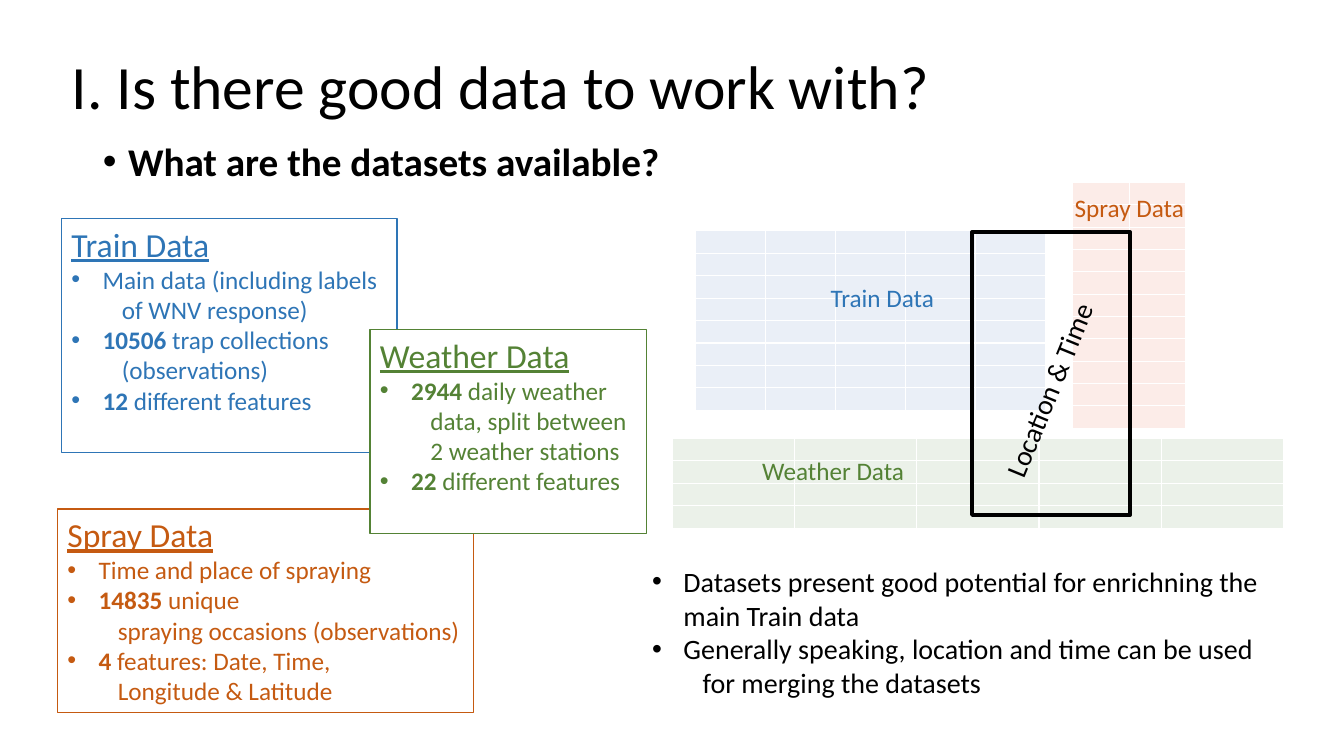
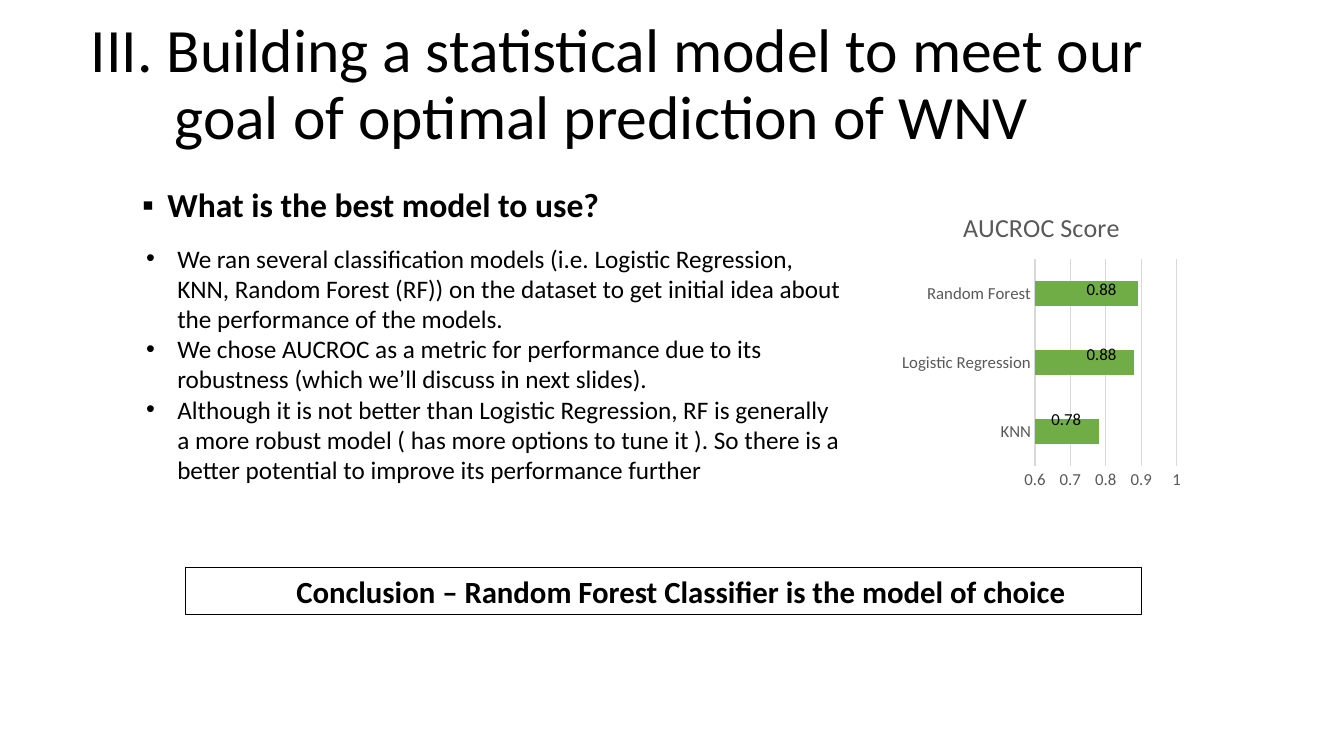
from lxml import etree
from pptx import Presentation
from pptx.chart.data import CategoryChartData
from pptx.dml.color import RGBColor
from pptx.enum.chart import XL_CHART_TYPE as ChartType, XL_TICK_MARK as TickMark
from pptx.enum.shapes import MSO_SHAPE as Shape
from pptx.enum.text import MSO_ANCHOR as Anchor, MSO_AUTO_SIZE as AutoSize, PP_ALIGN as Align
from pptx.oxml.ns import qn
from pptx.util import Inches, Pt

FONT = "Calibri"
COLORS = {
    "ink": "000000",
    "paper": "FFFFFF",
    "train": "2E75B6",
    "spray": "C55A11",
    "weather": "548235",
    "train_cell": "EAEFF7",
    "spray_cell": "FCECE8",
    "weather_cell": "EBF1E9",
    "bar": "70AD47",
    "grid": "D9D9D9",
    "chart_text": "595959",
}
# Left margin and first-line indent of each paragraph kind, in inches
INDENTS = {"heading": (0, 0), "bullet": (0.31, -0.31), "continued": (0.5, 0)}


def rgb(name):
    return RGBColor.from_string(COLORS[name])


def box(left, top, width, height):
    return [Inches(length) for length in (left, top, width, height)]


def style_font(font, size, color="ink", bold=False):
    font.name = FONT
    font.size = Pt(size)
    font.bold = bold
    font.color.rgb = rgb(color)


def add_run(paragraph, text, size, color="ink", bold=False):
    run = paragraph.add_run()
    run.text = text
    style_font(run.font, size, color, bold)
    return run


def set_indent(paragraph, margin, first_line, bullet=None):
    properties = paragraph._p.get_or_add_pPr()
    properties.set("marL", str(Inches(margin)))
    properties.set("indent", str(Inches(first_line)))
    if bullet:
        etree.SubElement(properties, qn("a:buFont"), typeface="Arial")
        etree.SubElement(properties, qn("a:buChar"), char=bullet)
    else:
        etree.SubElement(properties, qn("a:buNone"))


def write_paragraphs(frame, paragraphs, size, color="ink"):
    """Write (kind, part, ...) rows; a part is text or a (bold text,) tuple."""
    frame.word_wrap = True
    for index, (kind, *parts) in enumerate(paragraphs):
        paragraph = frame.add_paragraph() if index else frame.paragraphs[0]
        paragraph.alignment = Align.LEFT
        set_indent(paragraph, *INDENTS[kind], bullet="•" if kind == "bullet" else None)
        for part in parts:
            bold = isinstance(part, tuple)
            run = add_run(paragraph, part[0] if bold else part,
                          24 if kind == "heading" else size, color, bold)
            run.font.underline = kind == "heading"


def place_placeholder(placeholder, position, anchor):
    placeholder.left, placeholder.top, placeholder.width, placeholder.height = box(*position)
    frame = placeholder.text_frame
    frame.auto_size = AutoSize.NONE
    frame.vertical_anchor = anchor
    paragraph = frame.paragraphs[0]
    paragraph.alignment = Align.LEFT
    paragraph.line_spacing = 0.9
    return paragraph


def set_title(slide, position, lines, hanging=0):
    paragraph = place_placeholder(slide.shapes.title, position, Anchor.MIDDLE)
    set_indent(paragraph, hanging, -hanging)
    for index, line in enumerate(lines):
        if index:
            paragraph.add_line_break()
        add_run(paragraph, line, 44)


def set_question(slide, position, text, size, margin, bullet, space_before):
    paragraph = place_placeholder(slide.placeholders[1], position, Anchor.TOP)
    paragraph.space_before = Pt(space_before)
    set_indent(paragraph, margin, -0.25, bullet)
    add_run(paragraph, text, size, bold=True)


def add_frame(slide, position, color, line_width, filled=True):
    frame = slide.shapes.add_shape(Shape.RECTANGLE, *box(*position))
    frame.shadow.inherit = False
    if filled:
        frame.fill.solid()
        frame.fill.fore_color.rgb = rgb("paper")
    else:
        frame.fill.background()
    frame.line.color.rgb = rgb(color)
    frame.line.width = Pt(line_width)
    return frame


def add_card(slide, position, color, line_width, heading, paragraphs):
    card = add_frame(slide, position, color, line_width)
    card.text_frame.vertical_anchor = Anchor.TOP
    write_paragraphs(card.text_frame, [("heading", heading), *paragraphs], 18, color)


def add_bullets(slide, position, paragraphs, size):
    bullets = slide.shapes.add_textbox(*box(*position))
    write_paragraphs(bullets.text_frame, paragraphs, size)


def add_label(slide, position, text, size, color="ink", rotation=0):
    label = slide.shapes.add_textbox(*box(*position))
    label.rotation = rotation
    label.text_frame.word_wrap = False
    add_run(label.text_frame.paragraphs[0], text, size, color)


def add_data_grid(slide, position, rows, columns, color):
    """Add an empty table that stands for the shape of a dataset."""
    grid = slide.shapes.add_table(rows, columns, *box(*position)).table
    grid.first_row = grid.horz_banding = False
    for cell in grid.iter_cells():
        cell.fill.solid()
        cell.fill.fore_color.rgb = rgb(color)
        cell.margin_top = cell.margin_bottom = 0
        # Small empty text keeps the rows at their set height
        etree.SubElement(cell.text_frame.paragraphs[0]._p, qn("a:endParaRPr"), sz="600")


def add_score_chart(slide, position, title, scores):
    scores_data = CategoryChartData()
    scores_data.categories = list(scores)
    scores_data.add_series(title, list(scores.values()))
    chart = slide.shapes.add_chart(
        ChartType.BAR_CLUSTERED, *box(*position), scores_data).chart
    style_font(chart.font, 10)
    chart.has_legend = False
    chart.has_title = True
    add_run(chart.chart_title.text_frame.paragraphs[0], title, 18.6, "chart_text")
    chart.chart_title.include_in_layout = False

    plot = chart.plots[0]
    plot.gap_width = 182
    plot.vary_by_categories = False
    bars = plot.series[0].format.fill
    bars.solid()
    bars.fore_color.rgb = rgb("bar")

    models, values = chart.category_axis, chart.value_axis
    for axis in (models, values):
        axis.major_tick_mark = axis.minor_tick_mark = TickMark.NONE
        style_font(axis.tick_labels.font, 12, "chart_text")
    values.minimum_scale, values.maximum_scale, values.major_unit = 0.6, 1, 0.1
    values.has_major_gridlines = True
    values.format.line.fill.background()
    for line in (models.format.line, values.major_gridlines.format.line):
        line.color.rgb = rgb("grid")
        line.width = Pt(0.75)


def build_datasets_slide(slide):
    set_title(slide, (0.61, 0.16, 11.81, 1.45), ["I. Is there good data to work with?"])
    set_question(slide, (0.92, 1.36, 11.5, 0.6), "What are the datasets available?",
                 28, 0.25, "•", 10)

    add_card(slide, (0.61, 2.17, 3.33, 2.32), "train", 1, "Train Data", [
        ("bullet", "Main data (including labels"),
        ("continued", "of WNV response)"),
        ("bullet", ("10506",), " trap collections"),
        ("continued", "(observations)"),
        ("bullet", ("12",), " different features"),
    ])
    add_card(slide, (0.57, 5.05, 4.13, 2.02), "spray", 1, "Spray Data", [
        ("bullet", "Time and place of spraying"),
        ("bullet", ("14835",), " unique"),
        ("continued", "spraying occasions (observations)"),
        ("bullet", ("4 ",), "features: Date, Time,"),
        ("continued", "Longitude & Latitude"),
    ])
    add_card(slide, (3.67, 3.27, 2.74, 2.02), "weather", 0.75, "Weather Data", [
        ("bullet", ("2944",), " daily weather"),
        ("continued", "data, split between"),
        ("continued", "2 weather stations"),
        ("bullet", ("22",), " different features"),
    ])

    add_data_grid(slide, (6.9, 2.29, 3.47, 1.78), 8, 5, "train_cell")
    add_data_grid(slide, (10.64, 1.81, 1.12, 2.44), 11, 2, "spray_cell")
    add_data_grid(slide, (6.67, 4.35, 6.06, 0.89), 4, 5, "weather_cell")
    add_frame(slide, (9.64, 2.3, 1.57, 2.81), "ink", 2.5, filled=False)
    add_label(slide, (9.36, 3.61, 2.12, 0.44), "Location & Time", 20, rotation=292.3)
    add_label(slide, (8.14, 2.75, 1.24, 0.4), "Train Data", 18, "train")
    add_label(slide, (10.56, 1.86, 1.3, 0.4), "Spray Data", 18, "spray")
    add_label(slide, (7.46, 4.47, 1.63, 0.4), "Weather Data", 18, "weather")

    add_bullets(slide, (6.37, 5.55, 6.35, 1.78), [
        ("bullet", "Datasets present good potential for enrichning the main Train data"),
        ("bullet", "Generally speaking, location and time can be used"),
        ("continued", "for merging the datasets"),
    ], 20)


def build_model_slide(slide):
    set_title(slide, (0.8, 0.13, 12.53, 1.45),
              ["III. Building a statistical model to meet our",
               "goal of optimal prediction of WNV"], hanging=0.83)
    set_question(slide, (0.81, 1.82, 5.28, 0.54), "What is the best model to use?",
                 24, 0.75, "▪", 5)
    add_bullets(slide, (1.35, 2.36, 7.12, 2.52), [
        ("bullet", "We ran several classification models (i.e. Logistic Regression, KNN, "
                   "Random Forest (RF)) on the dataset to get initial idea about the "
                   "performance of the models."),
        ("bullet", "We chose AUCROC as a metric for performance due to its robustness "
                   "(which we’ll discuss in next slides)."),
        ("bullet", "Although it is not better than Logistic Regression, RF is generally a "
                   "more robust model ( has more options to tune it ). So there is a better "
                   "potential to improve its performance further"),
    ], 18)

    conclusion = add_frame(slide, (1.84, 5.63, 9.48, 0.47), "ink", 1)
    verdict = conclusion.text_frame.paragraphs[0]
    verdict.alignment = Align.LEFT
    set_indent(verdict, 1, 0)
    add_run(verdict, "Conclusion – Random Forest Classifier is the model of choice",
            22, bold=True)

    add_score_chart(slide, (8.89, 1.92, 2.88, 3), "AUCROC Score",
                    {"KNN": 0.78, "Logistic Regression": 0.88, "Random Forest": 0.89})
    for left, top, score in ((10.68, 2.72, "0.88"), (10.68, 3.36, "0.88"),
                             (10.33, 4.01, "0.78")):
        add_label(slide, (left, top, 0.5, 0.3), score, 12)


def main():
    deck = Presentation()
    deck.slide_width, deck.slide_height = Inches(13.33), Inches(7.5)
    title_and_content = deck.slide_layouts[1]
    for build in (build_datasets_slide, build_model_slide):
        build(deck.slides.add_slide(title_and_content))
    deck.save("out.pptx")


if __name__ == "__main__":
    main()
